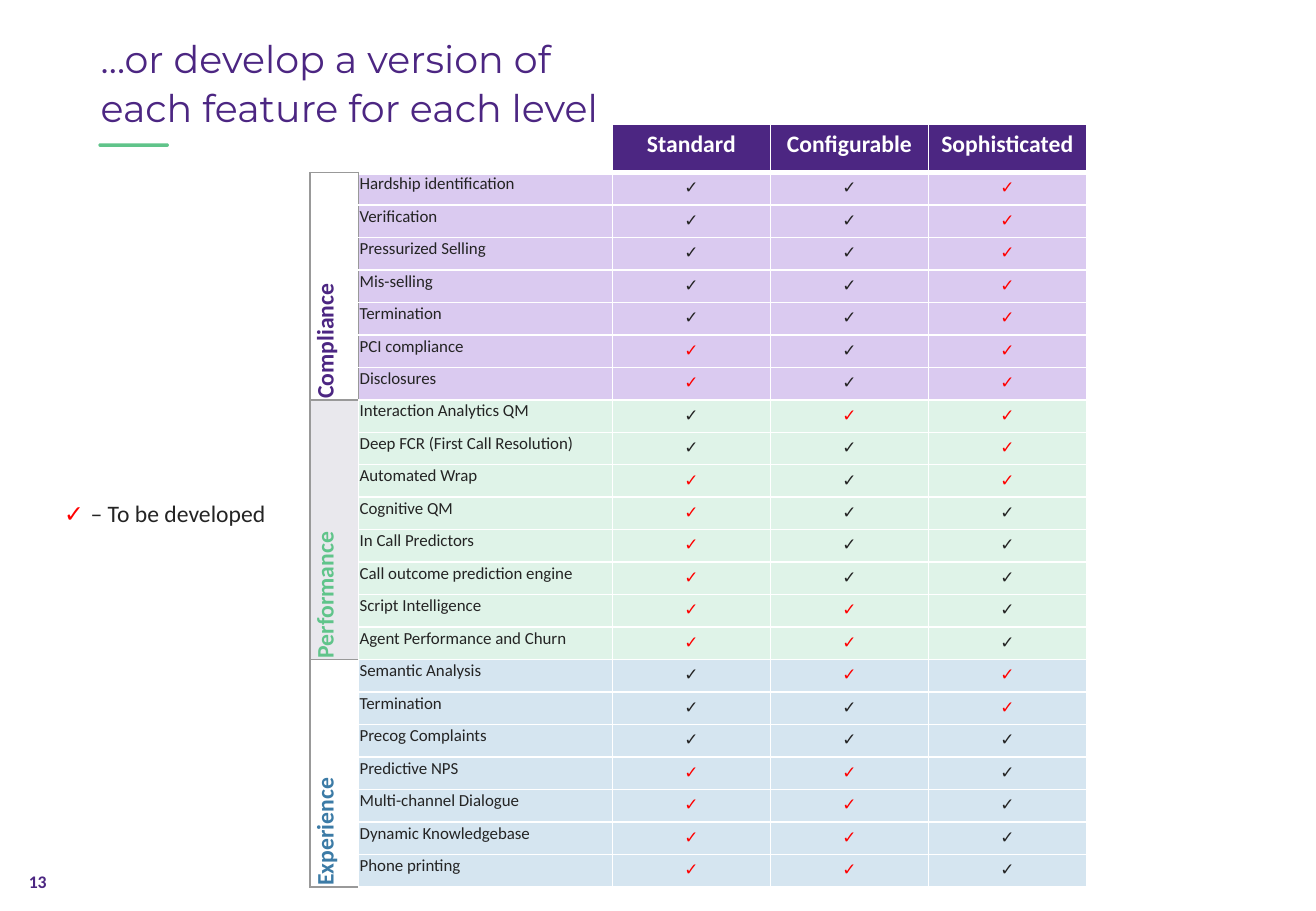
from lxml.etree import SubElement
from pptx import Presentation
from pptx.dml.color import RGBColor
from pptx.enum.shapes import MSO_SHAPE as Shape
from pptx.enum.text import MSO_ANCHOR as Anchor, PP_ALIGN as Align
from pptx.oxml.ns import qn
from pptx.util import Inches, Pt

WHITE = RGBColor(0xFF, 0xFF, 0xFF)
INK = RGBColor(0x24, 0x24, 0x24)
RED = RGBColor(0xFF, 0x00, 0x00)
PURPLE = RGBColor(0x4C, 0x26, 0x82)
GREEN = RGBColor(0x60, 0xC4, 0x8A)
BLUE = RGBColor(0x3C, 0x7B, 0xA6)
GREY = RGBColor(0x99, 0x99, 0x99)
PALE_GREY = RGBColor(0xE9, 0xE8, 0xED)
PALE_PURPLE = RGBColor(0xDA, 0xCA, 0xF0)
PALE_GREEN = RGBColor(0xDF, 0xF3, 0xE8)
PALE_BLUE = RGBColor(0xD5, 0xE5, 0xF0)

CHECK = "✓"
READY = "x"
LEVELS = ["Standard", "Configurable", "Sophisticated"]
GROUPS = [
    ("Compliance", PURPLE, None, PALE_PURPLE, GREY, [
        ("Hardship identification", "xx-"),
        ("Verification", "xx-"),
        ("Pressurized Selling", "xx-"),
        ("Mis-selling", "xx-"),
        ("Termination", "xx-"),
        ("PCI compliance", "-x-"),
        ("Disclosures", "-x-"),
    ]),
    ("Performance", GREEN, PALE_GREY, PALE_GREEN, WHITE, [
        ("Interaction Analytics QM", "x--"),
        ("Deep FCR (First Call Resolution)", "xx-"),
        ("Automated Wrap", "-x-"),
        ("Cognitive QM", "-xx"),
        ("In Call Predictors", "-xx"),
        ("Call outcome prediction engine", "-xx"),
        ("Script Intelligence", "--x"),
        ("Agent Performance and Churn", "--x"),
    ]),
    ("Experience", BLUE, None, PALE_BLUE, WHITE, [
        ("Semantic Analysis", "x--"),
        ("Termination", "xx-"),
        ("Precog Complaints", "xxx"),
        ("Predictive NPS", "--x"),
        ("Multi-channel Dialogue", "--x"),
        ("Dynamic Knowledgebase", "--x"),
        ("Phone printing", "--x"),
    ]),
]


def write(para, text, size=10, color=INK, font="Calibri", bold=False, align=Align.LEFT):
    para.alignment = align
    span = para.add_run()
    span.text = text
    span.font.size = Pt(size)
    span.font.name = font
    span.font.bold = bold
    span.font.color.rgb = color


class FeatureSlide:
    """Holds the current page and draws each kind of element on it."""

    def __init__(self, deck):
        self.page = deck.slides.add_slide(deck.slide_layouts[6])

    def text(self, left, top, width, height, wrap=True):
        box = self.page.shapes.add_textbox(
            Inches(left), Inches(top), Inches(width), Inches(height))
        box.text_frame.word_wrap = wrap
        return box.text_frame

    def bar(self, left, top, width, height, color):
        bar = self.page.shapes.add_shape(
            Shape.ROUNDED_RECTANGLE, Inches(left), Inches(top), Inches(width), Inches(height))
        bar.adjustments[0] = 0.5
        bar.shadow.inherit = False
        bar.fill.solid()
        bar.fill.fore_color.rgb = color
        bar.line.fill.background()

    def table(self, left, top, widths, header, body, count):
        frame = self.page.shapes.add_table(
            count + 1, len(widths), Inches(left), Inches(top),
            Inches(sum(widths)), Inches(header + body))
        table = frame.table
        table.first_row = table.horz_banding = False
        for column, width in zip(table.columns, widths):
            column.width = Inches(width)
        for row in table.rows:
            row.height = Inches(body / count)
        table.rows[0].height = Inches(header)
        return table

    def cell(self, cell, fill=None, tight=False, **borders):
        properties = cell._tc.get_or_add_tcPr()
        for side in "LRTB":
            color, width = borders.get(side, (WHITE, 1))
            line = SubElement(properties, qn(f"a:ln{side}"), w=str(Pt(width)))
            paint = SubElement(line, qn("a:solidFill"))
            SubElement(paint, qn("a:srgbClr"), val=str(color))
        if fill is None:
            cell.fill.background()
        else:
            cell.fill.solid()
            cell.fill.fore_color.rgb = fill
        if tight:
            cell.margin_left = cell.margin_right = cell.margin_top = Inches(0.01)
            cell.margin_bottom = 0
        return cell.text_frame.paragraphs[0]

    def header(self, table):
        self.cell(table.cell(0, 0), tight=True, B=(GREY, 1))
        self.cell(table.cell(0, 1), tight=True, B=(WHITE, 3))
        for column, level in enumerate(LEVELS, 2):
            para = self.cell(table.cell(0, column), PURPLE, B=(WHITE, 3))
            write(para, level, size=14, color=WHITE, bold=True, align=Align.CENTER)

    def group(self, table, first, name, color, label_fill, row_fill, edge, features):
        label = table.cell(first, 0)
        label.merge(table.cell(first + len(features) - 1, 0))
        for row, (feature, marks) in enumerate(features, first):
            self.cell(table.cell(row, 0), label_fill, tight=True,
                      L=(GREY, 1), R=(edge, 1), T=(GREY, 1), B=(GREY, 1))
            para = self.cell(table.cell(row, 1), row_fill, tight=True, L=(edge, 1))
            write(para, feature)
            for column, mark in enumerate(marks, 2):
                para = self.cell(table.cell(row, column), row_fill)
                write(para, CHECK, color=INK if mark == READY else RED,
                      font="Arial", align=Align.CENTER)
        label.vertical_anchor = Anchor.MIDDLE
        label._tc.get_or_add_tcPr().set("vert", "vert270")
        write(label.text_frame.paragraphs[0], name, size=14, color=color, bold=True)


def main():
    deck = Presentation()
    deck.slide_width, deck.slide_height = Inches(10.83), Inches(7.5)
    slide = FeatureSlide(deck)

    number = slide.text(0.15, 7.13, 0.32, 0.25, wrap=False)
    number.margin_left = number.margin_right = Inches(0.08)
    number.margin_top = number.margin_bottom = Inches(0.04)
    write(number.paragraphs[0], "13", size=10.5, color=PURPLE, bold=True, align=Align.CENTER)

    title = slide.text(0.73, 0.22, 4.43, 1.6).paragraphs[0]
    title.line_spacing = Pt(29)
    write(title, "…or develop a version of each feature for each level",
          size=22.5, color=PURPLE, font="Montserrat")
    slide.bar(0.81, 1.18, 0.58, 0.03, GREEN)

    legend = slide.text(0.43, 4.06, 1.93, 0.34).paragraphs[0]
    write(legend, CHECK + " ", size=14, color=RED, font="Arial")
    write(legend, "– To be developed", size=14)

    count = sum(len(features) for *_, features in GROUPS)
    table = slide.table(2.55, 1.02, [0.4, 2.09, 1.3, 1.3, 1.3], 0.4, 5.88, count)
    slide.header(table)
    first = 1
    for group in GROUPS:
        slide.group(table, first, *group)
        first += len(group[-1])

    deck.save("out.pptx")


if __name__ == "__main__":
    main()
